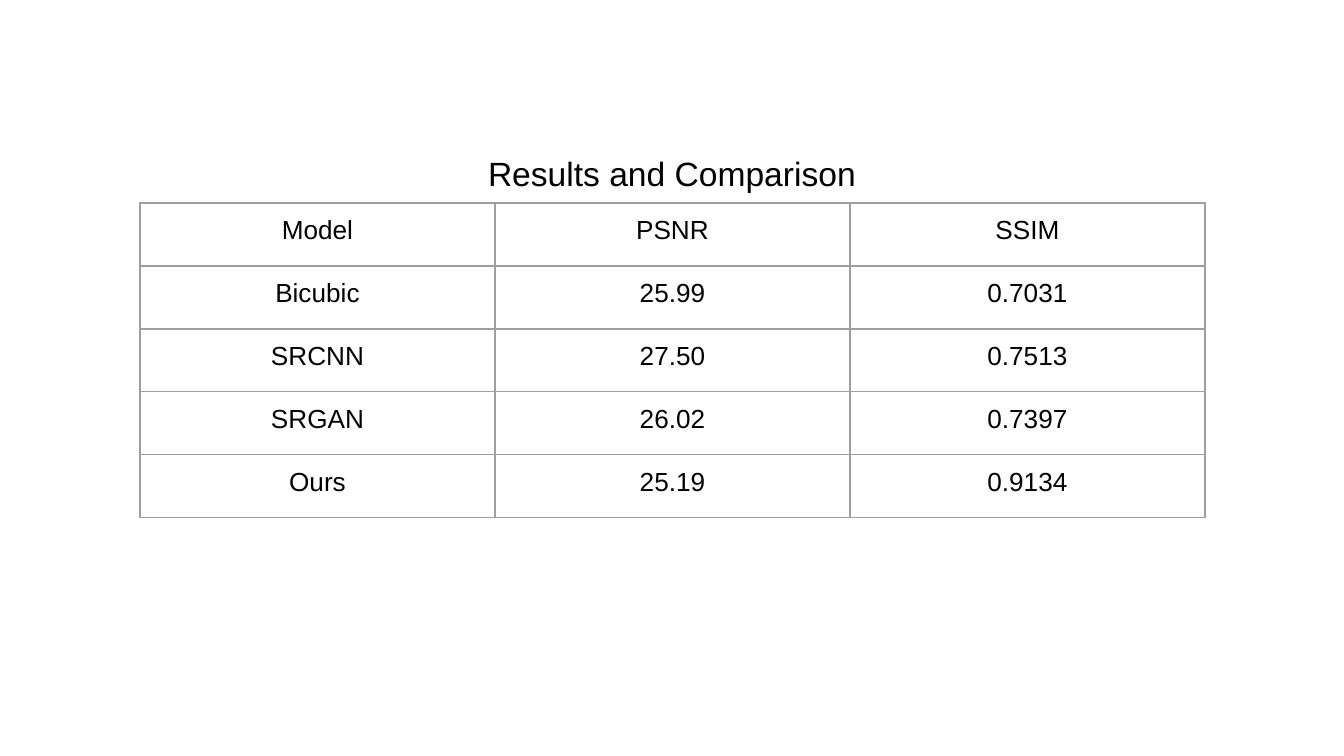
from lxml.etree import SubElement
from pptx import Presentation
from pptx.dml.color import RGBColor
from pptx.enum.text import MSO_ANCHOR, PP_ALIGN
from pptx.oxml.ns import qn
from pptx.util import Emu, Pt

TITLE = "Results and Comparison"
ROWS = [
    ("Model", "PSNR", "SSIM"),
    ("Bicubic", "25.99", "0.7031"),
    ("SRCNN", "27.50", "0.7513"),
    ("SRGAN", "26.02", "0.7397"),
    ("Ours", "25.19", "0.9134"),
]
FONT, BLACK, GRAY = "Arial", "000000", "9E9E9E"
SLIDE_W, SLIDE_H = 1344, 756
COL_W, ROW_H = 355, 63
TABLE_X, TABLE_Y = 140, 203
CELL_PAD = 13


def px(n):
    return Emu(round(n * 914400 / 134.4))


def rgb(color):
    return RGBColor.from_string(color)


def style_paragraph(p, size):
    p.alignment = PP_ALIGN.CENTER
    p.font.name, p.font.size = FONT, Pt(size)
    p.font.bold = False
    p.font.color.rgb = rgb(BLACK)


def set_borders(cell, color, width):
    tc_pr = cell._tc.get_or_add_tcPr()
    for i, side in enumerate(("lnL", "lnR", "lnT", "lnB")):
        ln = tc_pr.makeelement(qn(f"a:{side}"), {"w": str(Pt(width))})
        fill = SubElement(ln, qn("a:solidFill"))
        SubElement(fill, qn("a:srgbClr"), val=color)
        tc_pr.insert(i, ln)  # borders must come before the cell fill


def add_title(slide):
    title = slide.shapes.title
    title.left, title.top = px(168), px(124)
    title.width, title.height = px(1008), px(62)
    tf = title.text_frame
    tf.text = TITLE
    tf.word_wrap = True
    tf.vertical_anchor = MSO_ANCHOR.TOP
    tf.margin_left = tf.margin_right = px(9)
    tf.margin_top, tf.margin_bottom = px(9), px(5)
    p = tf.paragraphs[0]
    p.line_spacing, p.space_before = 1.5, Pt(0)
    style_paragraph(p, 18)


def add_results(slide):
    n_rows, n_cols = len(ROWS), len(ROWS[0])
    table = slide.shapes.add_table(
        n_rows, n_cols, px(TABLE_X), px(TABLE_Y),
        px(n_cols * COL_W), px(n_rows * ROW_H)).table
    table.first_row = table.horz_banding = False
    for col in table.columns:
        col.width = px(COL_W)
    for row, values in zip(table.rows, ROWS):
        row.height = px(ROW_H)
        for cell, value in zip(row.cells, values):
            cell.text = value
            cell.fill.background()
            cell.margin_left = cell.margin_right = px(CELL_PAD)
            cell.margin_top = cell.margin_bottom = px(CELL_PAD)
            style_paragraph(cell.text_frame.paragraphs[0], 14)
            set_borders(cell, GRAY, 0.75)


prs = Presentation()
prs.slide_width, prs.slide_height = px(SLIDE_W), px(SLIDE_H)
slide = prs.slides.add_slide(prs.slide_layouts[5])
add_title(slide)
add_results(slide)
prs.save("out.pptx")
